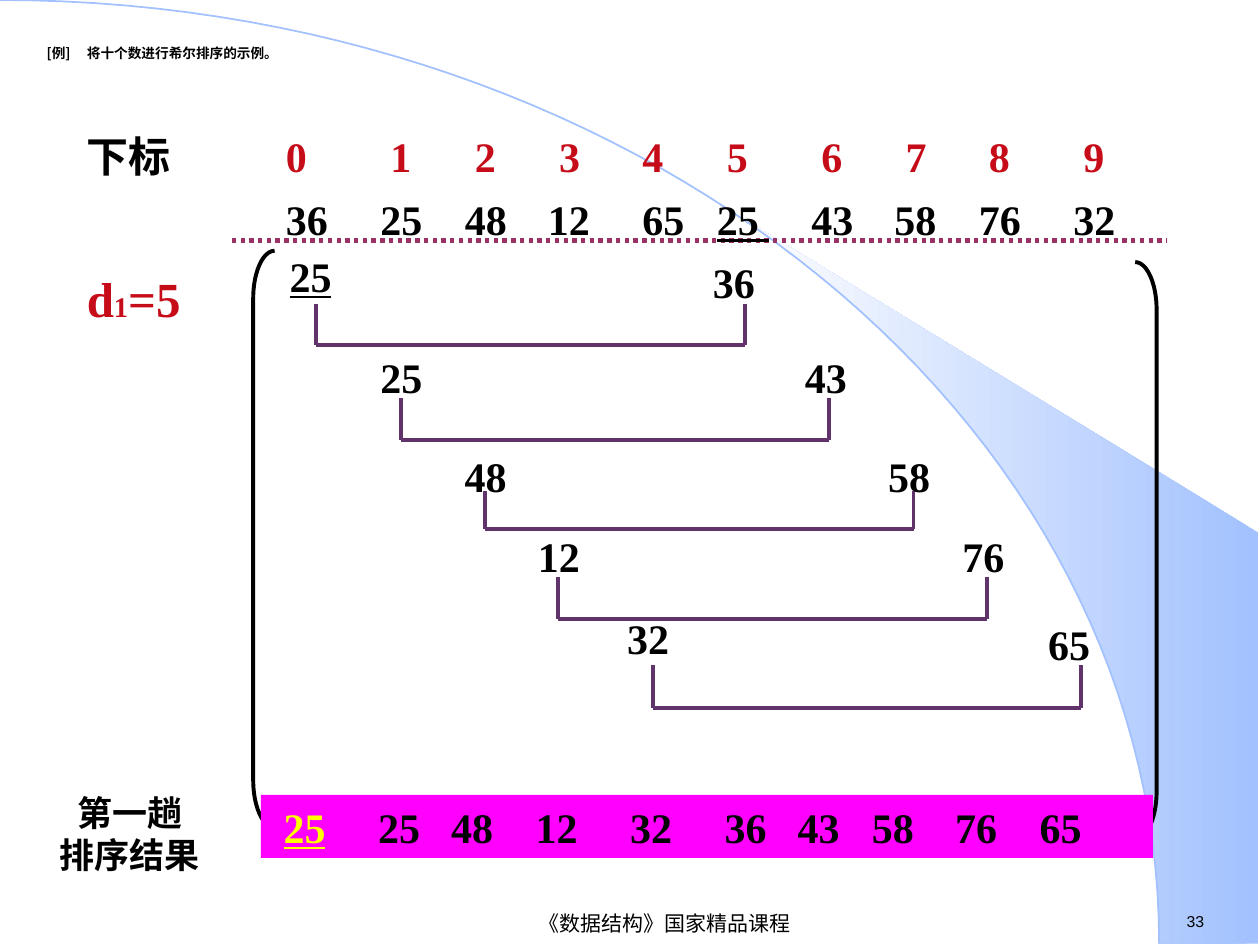
from dataclasses import dataclass

from lxml import etree
from pptx import Presentation
from pptx.dml.color import RGBColor
from pptx.enum import dml, shapes, text
from pptx.oxml import ns
from pptx.util import Inches, Pt

BLACK = RGBColor(0x00, 0x00, 0x00)
RED = RGBColor(0xC6, 0x0C, 0x19)
PLUM = RGBColor(0x60, 0x33, 0x6B)
ROSE = RGBColor(0x99, 0x33, 0x66)
PINK = RGBColor(0xFF, 0x00, 0xFF)
GOLD = RGBColor(0xFF, 0xFF, 0x00)
SKY = RGBColor(0xA2, 0xC1, 0xFE)
PALE = RGBColor(0xFE, 0xFE, 0xFE)

SERIF, SANS, HAN = "Times New Roman", "Arial", "Noto Sans CJK SC"
GAP = 5  # index distance between compared items
SPAN = 3.4  # width of each pair link


@dataclass
class Run:
    words: str
    size: float = 24
    font: str = SERIF
    color: RGBColor = BLACK
    bold: bool = True
    line: bool = False
    base: int = 0


@dataclass
class Pair:
    low: str
    high: str
    x: float
    top: float
    foot: float
    low_at: tuple[float, float]
    high_at: tuple[float, float]


def add_run(para, run: Run) -> None:
    item = para.add_run()
    item.text = run.words
    font = item.font
    font.size, font.name, font.bold = Pt(run.size), run.font, run.bold
    font.underline = run.line
    font.color.rgb = run.color
    props = item._r.get_or_add_rPr()
    if run.base:
        props.set("baseline", str(run.base))
    latin = props.find(ns.qn("a:latin"))
    east = etree.Element(ns.qn("a:ea"), typeface=HAN)
    latin.addnext(east)


def set_tabs(para, stops: list[float]) -> None:
    tabs = etree.SubElement(para._p.get_or_add_pPr(), ns.qn("a:tabLst"))
    for stop in stops:
        etree.SubElement(tabs, ns.qn("a:tab"), pos=str(Inches(stop)), algn="l")


def add_text(slide, left: float, top: float, width: float, height: float,
             *runs: Run):
    box = slide.shapes.add_textbox(*map(Inches, (left, top, width, height)))
    frame = box.text_frame
    frame.word_wrap = True
    for run in runs:
        add_run(frame.paragraphs[0], run)
    return frame


def fill_row(frame, stops: list[float], runs: list[Run]) -> None:
    """Set one run per column, each starting at its tab stop."""
    para = frame.paragraphs[0]
    set_tabs(para, stops)
    for i, run in enumerate(runs):
        if i:
            add_run(para, Run("\t"))
        add_run(para, run)


def add_line(slide, start: tuple, end: tuple, color: RGBColor, width: float):
    link = slide.shapes.add_connector(
        shapes.MSO_CONNECTOR.STRAIGHT, *map(Inches, (*start, *end)))
    link.line.color.rgb, link.line.width = color, Pt(width)
    etree.SubElement(link._element.spPr, ns.qn("a:effectLst"))
    return link


def add_path(slide, points: list[tuple], close: bool):
    (x, y), *rest = points
    path = slide.shapes.build_freeform(Inches(x), Inches(y))
    path.add_line_segments([(Inches(a), Inches(b)) for a, b in rest], close)
    shape = path.convert_to_shape()
    shape.shadow.inherit = False
    return shape


def arc_point(t: float) -> tuple[float, float]:
    s = 1 - t
    x = 3 * s * s * t * 5.08 + 3 * s * t * t * 9.2 + t ** 3 * 9.2
    y = 3 * s * t * t * 3.35 + t ** 3 * 7.49
    return x, y


def add_backdrop(slide) -> None:
    arc = [arc_point(i / 60) for i in range(61)]
    edge = [p for p in arc if p[0] > 5.89]
    wedge = add_path(slide, [(9.99, 7.49), (9.99, 4.23), (5.89, 1.73), *edge], True)
    wedge.line.fill.background()
    wedge.fill.gradient()
    wedge.fill.gradient_angle = 180
    for stop, color in zip(wedge.fill.gradient_stops, (SKY, PALE)):
        stop.color.rgb = color
    for stop, place in zip(wedge.fill.gradient_stops, (0, 1)):
        stop.position = place
    curve = add_path(slide, arc, False)
    curve.fill.background()
    curve.line.color.rgb, curve.line.width = SKY, Pt(1)


def add_bracket(slide, kind, left: float, top: float) -> None:
    mark = slide.shapes.add_shape(kind, *map(Inches, (left, top, 0.17, 4.58)))
    mark.adjustments[0] = 0.38 / 0.17
    mark.shadow.inherit = False
    mark.fill.background()
    mark.line.color.rgb, mark.line.width = BLACK, Pt(2.25)


def add_pair(slide, pair: Pair, swap: bool) -> None:
    left, right = pair.x, pair.x + SPAN
    route = [(left, pair.top), (left, pair.foot),
             (right, pair.foot), (right, pair.top)]
    for start, end in zip(route, route[1:]):
        add_line(slide, start, end, PLUM, 2.25)
    add_text(slide, *pair.low_at, 0.77, 0.5, Run(pair.low, line=swap))
    add_text(slide, *pair.high_at, 0.77, 0.5, Run(pair.high))


def main() -> None:
    deck = Presentation()
    deck.slide_width, deck.slide_height = Inches(10), Inches(7.5)
    slide = deck.slides.add_slide(deck.slide_layouts[1])
    add_backdrop(slide)

    # Heading
    title, body = slide.placeholders
    title._element.getparent().remove(title._element)
    body.left, body.top, body.width, body.height = map(
        Inches, (0.27, 0.33, 5.99, 0.5))
    para = body.text_frame.paragraphs[0]
    props = para._p.get_or_add_pPr()
    props.set("marL", str(Inches(0.32)))
    props.set("indent", str(-Inches(0.32)))
    etree.SubElement(props, ns.qn("a:buNone"))
    para.line_spacing, para.space_before = 0.8, Pt(0)
    add_run(para, Run("[例]\t将十个数进行希尔排序的示例。", 7.8, HAN))

    # Footer and page number
    add_text(slide, 9.32, 7.19, 0.6, 0.25, Run("33", 9, SANS, bold=False))
    foot = add_text(slide, 2.4, 7.21, 5.75, 0.24,
                    Run("《数据结构》国家精品课程", 12, SANS, bold=False))
    foot.vertical_anchor = text.MSO_ANCHOR.MIDDLE
    foot.paragraphs[0].alignment = text.PP_ALIGN.CENTER

    # Indices and unsorted numbers
    rule = add_line(slide, (1.84, 1.91), (9.26, 1.91), ROSE, 2.5)
    rule.line.dash_style = dml.MSO_LINE.ROUND_DOT
    add_text(slide, 0.59, 0.99, 1.17, 0.5, Run("下标", font=HAN))
    fill_row(add_text(slide, 2.17, 0.99, 7.17, 0.5),
             [0.83, 1.5, 2.17, 2.83, 3.5, 4.25, 4.92, 5.58, 6.33],
             [Run(str(i), color=RED) for i in range(10)])
    nums = [Run(n) for n in "36 25 48 12 65 25 43 58 76 32".split()]
    nums[GAP] = Run("25 ", line=True)
    fill_row(add_text(slide, 2.17, 1.49, 7.25, 0.5),
             [0.75, 1.42, 2.08, 2.83, 3.42, 4.17, 4.83, 5.5, 6.25], nums)

    # First pass with its compared pairs
    add_bracket(slide, shapes.MSO_SHAPE.LEFT_BRACKET, 2.01, 1.99)
    add_bracket(slide, shapes.MSO_SHAPE.RIGHT_BRACKET, 9.01, 2.08)
    add_text(slide, 0.59, 2.08, 1.08, 0.63, Run("d", 28, color=RED),
             Run("1", 28, color=RED, base=-25), Run("=5", 28, color=RED))
    pairs = [
        Pair("25", "36", 2.51, 2.41, 2.74, (2.2, 1.94), (5.56, 1.99)),
        Pair("25", "43", 3.18, 3.16, 3.49, (2.92, 2.74), (6.29, 2.74)),
        Pair("48", "58", 3.85, 3.9, 4.2, (3.59, 3.53), (6.95, 3.53)),
        Pair("12", "76", 4.43, 4.58, 4.91, (4.17, 4.16), (7.54, 4.16)),
        Pair("32", "65", 5.18, 5.28, 5.62, (4.88, 4.81), (8.22, 4.86)),
    ]
    for i, pair in enumerate(pairs):
        add_pair(slide, pair, i == 0)

    # Result of the pass
    bar = slide.shapes.add_shape(
        shapes.MSO_SHAPE.RECTANGLE, *map(Inches, (2.07, 6.31, 7.08, 0.5)))
    bar.shadow.inherit = False
    bar.fill.solid()
    bar.fill.fore_color.rgb = PINK
    bar.line.fill.background()
    frame = bar.text_frame
    frame.margin_left = Inches(0.18)
    frame.vertical_anchor = text.MSO_ANCHOR.TOP
    frame.paragraphs[0].alignment = text.PP_ALIGN.LEFT
    done = [Run(n) for n in "25 25 48 12 32 36 43 58 76 65".split()]
    done[0] = Run("25", color=GOLD, line=True)
    fill_row(frame, [0.75, 1.33, 2, 2.75, 3.5, 4.08, 4.67, 5.33, 6], done)
    note = add_text(slide, 0.24, 6.23, 1.58, 0.82, Run("第一趟", 20, HAN))
    last = note.add_paragraph()
    add_run(last, Run("排序结果", 20, HAN))
    for para in note.paragraphs:
        para.alignment = text.PP_ALIGN.CENTER
    deck.save("out.pptx")


if __name__ == "__main__":
    main()
